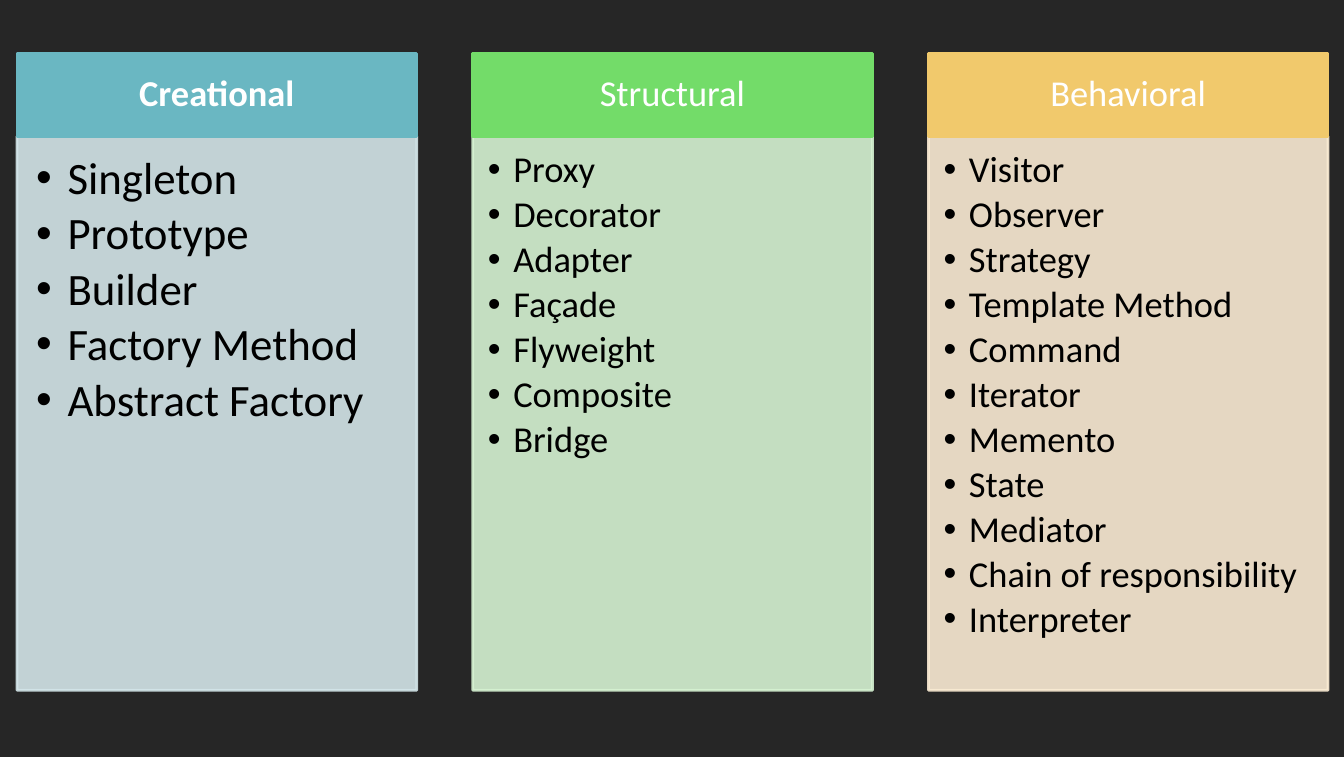
from lxml.etree import SubElement
from pptx import Presentation
from pptx.dml.color import RGBColor
from pptx.enum.shapes import MSO_SHAPE
from pptx.enum.text import MSO_ANCHOR, MSO_AUTO_SIZE, PP_ALIGN
from pptx.oxml.ns import qn
from pptx.util import Cm, Pt

LEFT, TOP, WIDTH, GAP = 0.43, 1.35, 10.06, 1.41
HEADER_H, LIST_H = 2.08, 13.94
LARGE = {"size": 32, "inset": 0.48, "indent": 0.79, "before": 5}
MEDIUM = {"size": 26, "inset": 0.38, "indent": 0.64, "before": 4}

COLUMNS = [
    {"name": "Creational", "bold": True, "dark": "6AB7C2", "light": "D3E5E9",
     "style": LARGE,
     "patterns": ["Singleton", "Prototype", "Builder", "Factory Method",
                  "Abstract Factory"]},
    {"name": "Structural", "bold": False, "dark": "73DC69", "light": "D6F2D2",
     "style": MEDIUM,
     "patterns": ["Proxy", "Decorator", "Adapter", "Façade", "Flyweight",
                  "Composite", "Bridge"]},
    {"name": "Behavioral", "bold": False, "dark": "F1C96C", "light": "FAEBD3",
     "style": MEDIUM,
     "patterns": ["Visitor", "Observer", "Strategy", "Template Method",
                  "Command", "Iterator", "Memento", "State", "Mediator",
                  "Chain of responsibility", "Interpreter"]},
]


def set_color(fill, color, alpha=100):
    """Make a fill solid in a hex colour with an opacity in percent."""
    fill.solid()
    fill.fore_color.rgb = RGBColor.from_string(color)
    if alpha < 100:
        for clr in fill._xPr.iter(qn("a:srgbClr")):
            SubElement(clr, qn("a:alpha"), val=str(alpha * 1000))


def set_attrs(obj, values):
    """Set attributes of an object from a dict."""
    for name, value in values.items():
        setattr(obj, name, value)


def paint(sp, color, alpha=100):
    """Give a shape the same fill and 2 pt outline colour."""
    sp.line.width = Pt(2)
    set_color(sp.line.fill, color, alpha)
    set_color(sp.fill, color, alpha)


def format_frame(tf, inset, anchor):
    """Set equal insets, wrapping and anchoring of a text frame."""
    sides = ("left", "right", "top", "bottom")
    set_attrs(tf, {f"margin_{side}": Cm(inset) for side in sides})
    set_attrs(tf, {"word_wrap": True, "auto_size": MSO_AUTO_SIZE.NONE,
                   "vertical_anchor": anchor})


def write(p, text, size, color, before, align, bold=False):
    """Write one formatted run into a paragraph."""
    set_attrs(p, {"alignment": align, "line_spacing": 0.9,
                  "space_before": Pt(before)})
    r = p.add_run()
    r.text = text
    set_attrs(r.font, {"name": "Calibri", "size": Pt(size), "bold": bold})
    set_color(r.font.fill, color)


def add_bullet(p, indent):
    """Give a paragraph a black round bullet with a hanging indent."""
    pPr = p._p.get_or_add_pPr()
    pPr.set("marL", str(Cm(indent)))
    pPr.set("indent", str(-Cm(indent)))
    SubElement(SubElement(pPr, qn("a:buClr")), qn("a:srgbClr"), val="000000")
    SubElement(pPr, qn("a:buFont"), typeface="Arial")
    SubElement(pPr, qn("a:buChar"), char="•")


def add_header(s, column, left, top, width, height):
    """Draw the coloured heading of a column."""
    sp = s.shapes.add_shape(MSO_SHAPE.RECTANGLE, left, top, width, height)
    sp.shadow.inherit = False
    paint(sp, column["dark"])
    format_frame(sp.text_frame, 0.3, MSO_ANCHOR.MIDDLE)
    write(sp.text_frame.paragraphs[0], column["name"], 26, "FFFFFF", 10,
          PP_ALIGN.CENTER, column["bold"])


def fill_list(sp, column, left, top, width, height):
    """Place a body placeholder as the pattern list of a column."""
    set_attrs(sp, {"left": left, "top": top, "width": width, "height": height})
    paint(sp, column["light"], 90)
    style, tf = column["style"], sp.text_frame
    format_frame(tf, style["inset"], MSO_ANCHOR.TOP)
    for i, pattern in enumerate(column["patterns"]):
        p = tf.add_paragraph() if i else tf.paragraphs[0]
        write(p, pattern, style["size"], "000000", style["before"],
              PP_ALIGN.LEFT)
        add_bullet(p, style["indent"])


def add_column(s, body, column, left, top, width):
    """Build one category: heading above its list."""
    add_header(s, column, left, top, width, Cm(HEADER_H))
    fill_list(body, column, left, top + Cm(HEADER_H), width, Cm(LIST_H))


def build_categories(prs):
    """Add the slide with the three pattern categories side by side."""
    s = prs.slides.add_slide(prs.slide_layouts.get_by_name("Comparison"))
    set_color(s.background.fill, "262626")
    title, *bodies = list(s.placeholders)
    for i, (body, column) in enumerate(zip(bodies, COLUMNS)):
        add_column(s, body, column, Cm(LEFT + i * (WIDTH + GAP)), Cm(TOP),
                   Cm(WIDTH))
    for unused in [title, *bodies[len(COLUMNS):]]:
        unused.element.getparent().remove(unused.element)


prs = Presentation()
set_attrs(prs, {"slide_width": Cm(33.83), "slide_height": Cm(19.05)})
build_categories(prs)
prs.save("out.pptx")
